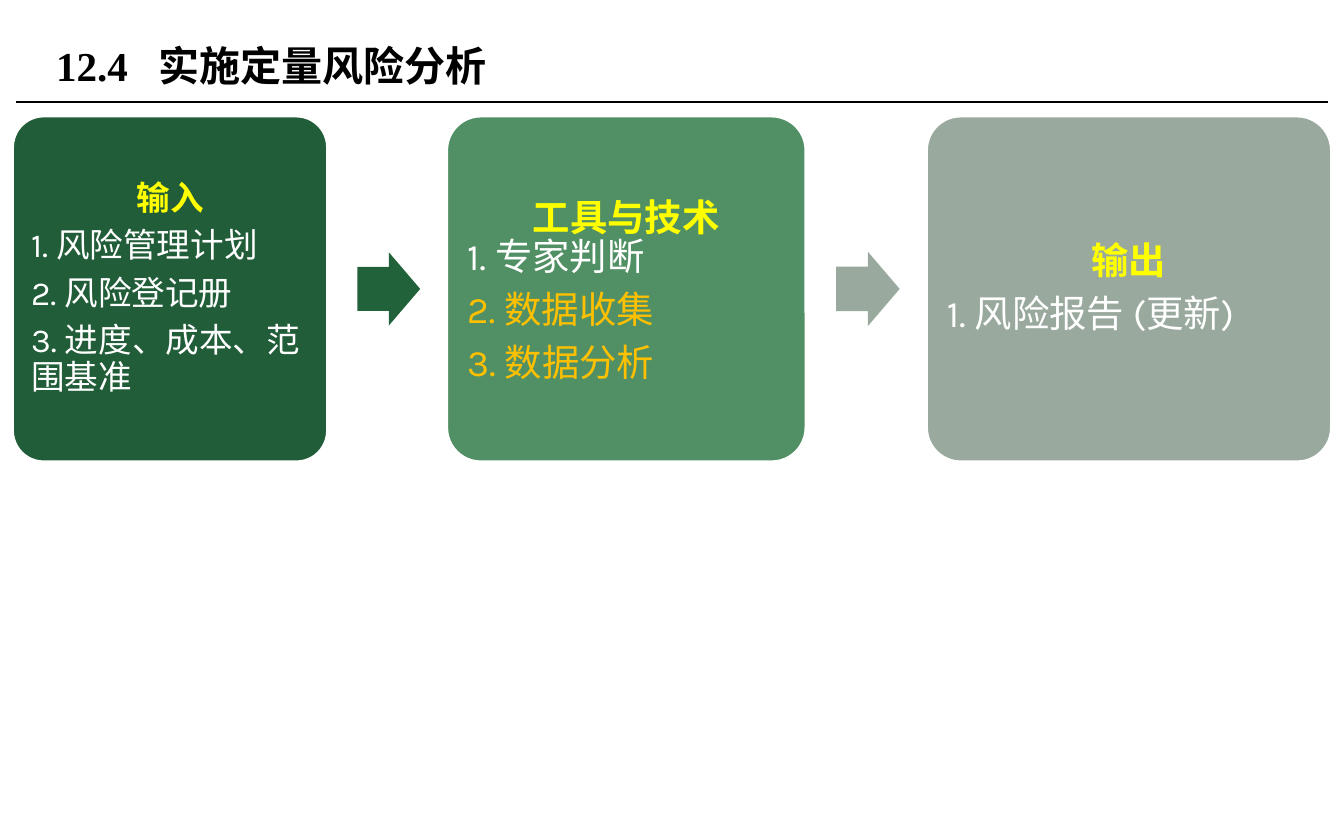
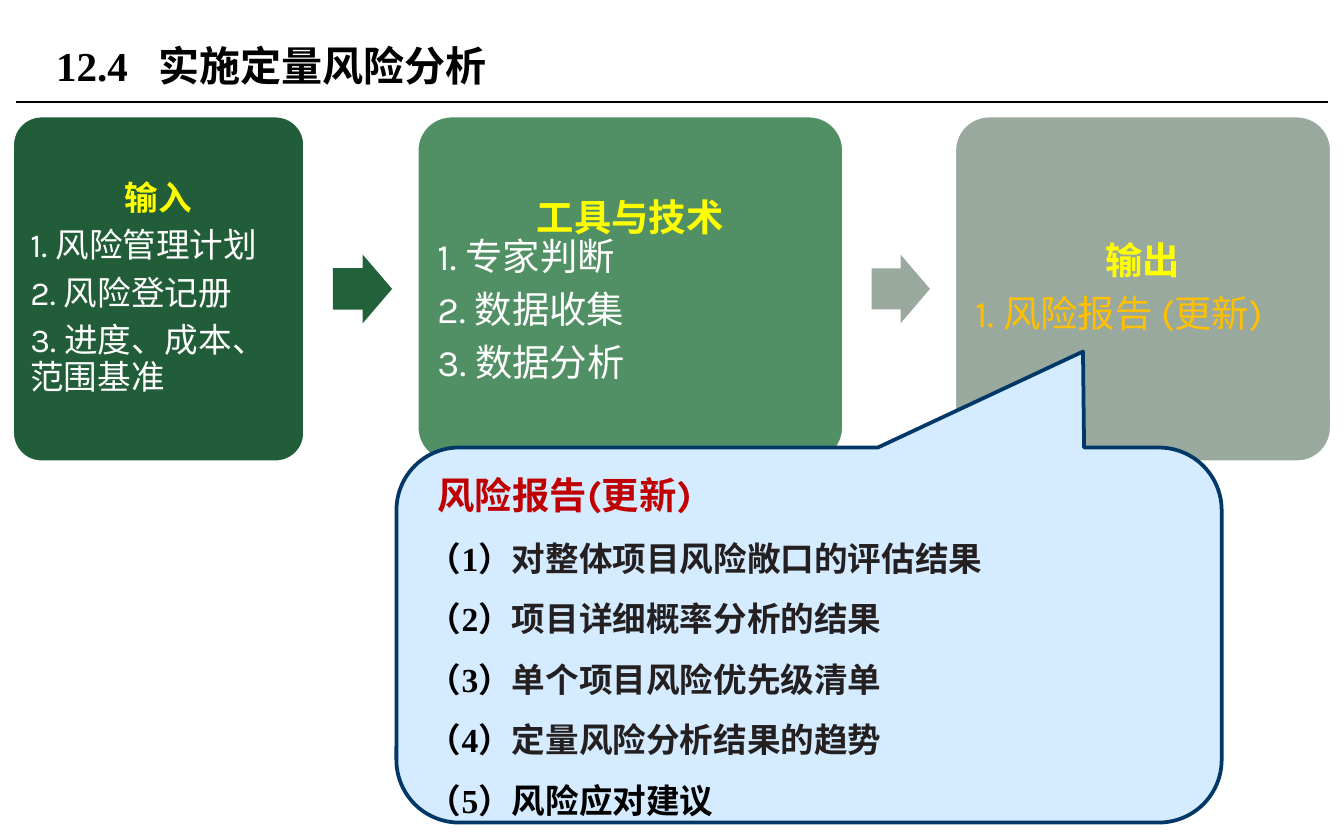
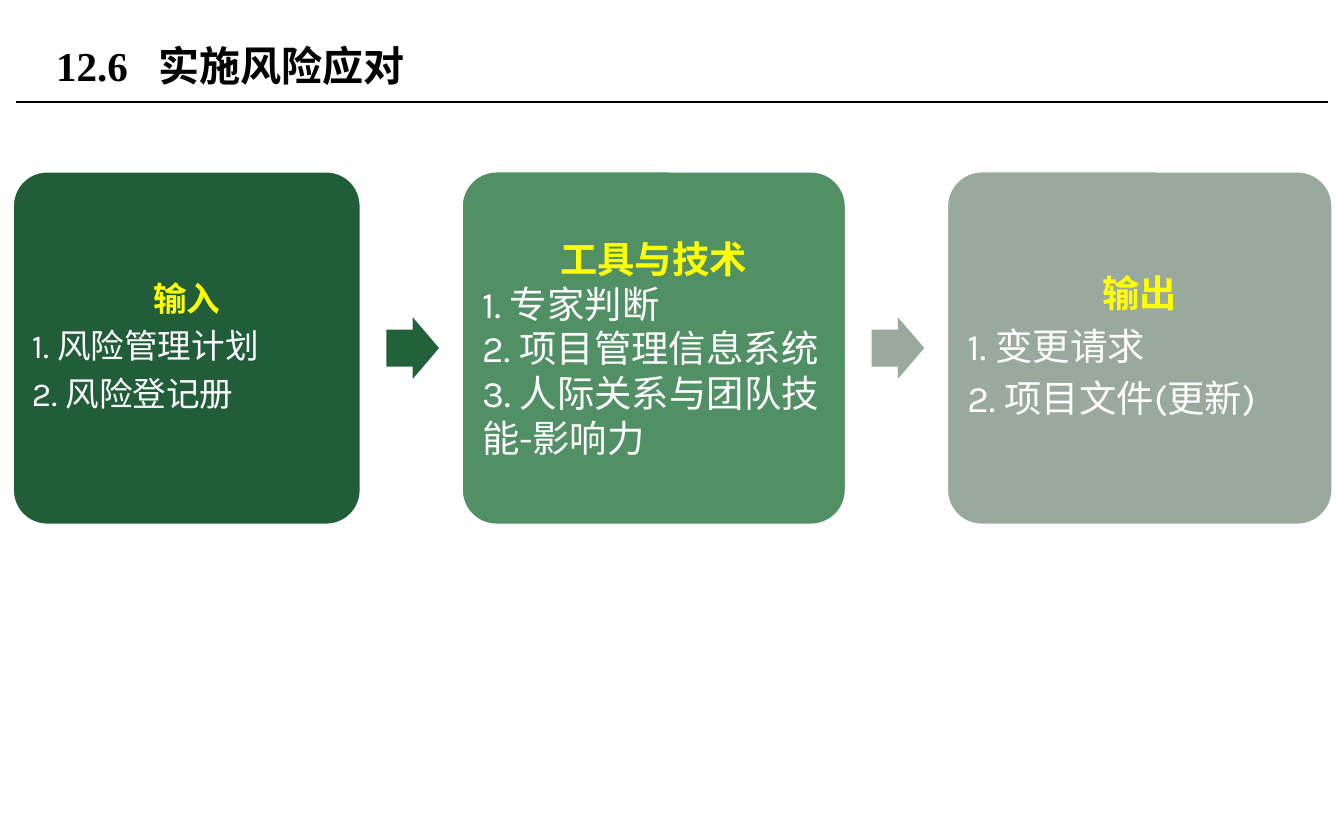
from lxml import etree
from pptx import Presentation
from pptx.dml.color import RGBColor
from pptx.enum.lang import MSO_LANGUAGE_ID
from pptx.enum.shapes import MSO_CONNECTOR, MSO_SHAPE
from pptx.enum.text import MSO_ANCHOR, PP_ALIGN
from pptx.oxml.ns import qn
from pptx.util import Inches, Pt

LINE = MSO_CONNECTOR.STRAIGHT
BOX, ARROW = MSO_SHAPE.ROUNDED_RECTANGLE, MSO_SHAPE.RIGHT_ARROW
CALLOUT = MSO_SHAPE.ROUNDED_RECTANGULAR_CALLOUT
LEFT, CENTER, MIDDLE = PP_ALIGN.LEFT, PP_ALIGN.CENTER, MSO_ANCHOR.MIDDLE
CHINESE = MSO_LANGUAGE_ID.SIMPLIFIED_CHINESE

BLACK, WHITE, YELLOW, ORANGE, RED = "000000", "FFFFFF", "FFFF00", "FFC000", "C00000"
INK, PALE_BLUE, NAVY = "242021", "D5EBFF", "013868"
BOX_FILLS = ["215D38", "519065", "9AA99E"]
ARROW_FILLS = ["22623B", "99A99D"]
SERIF, BODY, DETAIL = "Times New Roman", "Karla", "Lato"
HEADINGS = ["输入", "工具与技术", "输出"]
BOX_SIZES = [18, 20, 20]


def rgb(value):
    return RGBColor.from_string(value)


class Deck:
    """Holds the shared style and the current slide."""

    def __init__(self):
        self.prs = Presentation()
        self.prs.slide_width, self.prs.slide_height = Inches(10), Inches(6.25)

    def new_slide(self, number, title):
        self.s = self.prs.slides.add_slide(self.prs.slide_layouts[6])
        self.rule(0.12, 0.76, 9.88)
        self.title(number, title)

    def rule(self, left, y, right):
        line = self.s.shapes.add_connector(
            LINE, Inches(left), Inches(y), Inches(right), Inches(y))
        line.line.color.rgb, line.line.width = rgb(BLACK), Pt(0.75)
        etree.SubElement(line._element.spPr, qn("a:effectLst"))

    def title(self, number, title):
        sp = self.s.shapes.add_textbox(*map(Inches, (0.32, 0.13, 6.38, 0.71)))
        tf = sp.text_frame
        tf.word_wrap, tf.vertical_anchor = True, MIDDLE
        p = tf.paragraphs[0]
        # Tab stop between section number and name
        tabs = etree.SubElement(p._p.get_or_add_pPr(), qn("a:tabLst"))
        etree.SubElement(tabs, qn("a:tab"), pos=str(Inches(0.76)), algn="l")
        self.run(p, f"{number}\t{title}", 22, BLACK, SERIF, True)

    def run(self, p, text, size, color, font=BODY, bold=False):
        r = p.add_run()
        r.text = text
        style = {"size": Pt(size), "name": font, "bold": bold, "language_id": CHINESE}
        for name, value in style.items():
            setattr(r.font, name, value)
        r.font.color.rgb = rgb(color)

    def paragraph(self, tf, first=False, **style):
        p = tf.paragraphs[0] if first else tf.add_paragraph()
        for name, value in style.items():
            setattr(p, name, value)
        return p

    def shape(self, kind, at, fill, adjustments, line=None):
        sp = self.s.shapes.add_shape(kind, *map(Inches, at))
        sp.shadow.inherit = False
        sp.fill.solid()
        sp.fill.fore_color.rgb = rgb(fill)
        if line:
            sp.line.color.rgb, sp.line.width = rgb(line), Pt(2)
        else:
            sp.line.fill.background()
        for i, value in enumerate(adjustments):
            sp.adjustments[i] = value
        tf = sp.text_frame
        tf.word_wrap, tf.vertical_anchor = True, MIDDLE
        return tf

    def box(self, at, fill, size, heading, items, loose_heading, loose_items):
        tf = self.shape(BOX, at, fill, [0.1], WHITE)
        for side in ("left", "right", "top", "bottom"):
            setattr(tf, f"margin_{side}", Inches(size * 0.004))
        loose = {"line_spacing": 0.9, "space_after": Pt(size * 0.33)}
        p = self.paragraph(tf, True, alignment=CENTER, **(loose if loose_heading else {}))
        self.run(p, heading, size, YELLOW, bold=True)
        for i, (text, color) in enumerate(items, 1):
            p = self.paragraph(tf, alignment=LEFT, **(loose if loose_items else {}))
            self.run(p, f"{i}. {text}", size, color)

    def arrow(self, start, end, middle, fill):
        gap = end - start
        width, height = gap * 0.53, gap * 0.62
        at = (start + gap * 0.25, middle - height / 2, width, height)
        self.shape(ARROW, at, fill, [0.6, 0.5])

    def process(self, top, height, spans, lists, loose_tools=True):
        """Input, tools and output boxes, with an arrow in each gap."""
        for i, (left, width) in enumerate(spans):
            tools = i == 1
            self.box((left, top, width, height), BOX_FILLS[i], BOX_SIZES[i],
                     HEADINGS[i], lists[i], not tools, loose_tools or not tools)
        for fill, (left, width), (end, _) in zip(ARROW_FILLS, spans, spans[1:]):
            self.arrow(left + width, end, top + height / 2, fill)

    def callout(self, at, heading, points):
        tf = self.shape(CALLOUT, at, PALE_BLUE, [0.332, -0.756, 0.167], NAVY)
        style = {"alignment": LEFT, "line_spacing": 1.5}
        p = self.paragraph(tf, True, **style)
        p._p.get_or_add_pPr().set("marL", str(Inches(0.07)))
        self.run(p, heading, 20, RED, bold=True)
        for i, (text, color, font) in enumerate(points, 1):
            p = self.paragraph(tf, **style)
            self.run(p, f"（{i}）", 18, BLACK, SERIF, True)
            self.run(p, text, 18, color, font, True)


def colored(color, *texts):
    return [(text, color) for text in texts]


def main():
    deck = Deck()
    inputs = colored(WHITE, "风险管理计划", "风险登记册", "进度、成本、范围基准")
    expert = colored(WHITE, "专家判断")
    data = ["数据收集", "数据分析"]
    report = "风险报告 (更新)"

    # Quantitative analysis: tools highlighted
    deck.new_slide("12.4", "实施定量风险分析")
    deck.process(0.86, 2.58, [(0.09, 2.35), (3.32, 2.68), (6.89, 3.02)],
                 [inputs, expert + colored(ORANGE, *data), colored(WHITE, report)])

    # Quantitative analysis: output explained
    deck.new_slide("12.4", "实施定量风险分析")
    deck.process(0.86, 2.58, [(0.09, 2.18), (3.1, 3.18), (7.1, 2.81)],
                 [inputs, expert + colored(WHITE, *data), colored(ORANGE, report)])
    results = ["对整体项目风险敞口的评估结果", "项目详细概率分析的结果",
               "单个项目风险优先级清单", "定量风险分析结果的趋势"]
    deck.callout((2.95, 3.33, 6.14, 2.79), "风险报告(更新)",
                 [(text, INK, DETAIL) for text in results]
                 + [("风险应对建议", BLACK, SERIF)])

    # Risk responses
    deck.new_slide("12.6", "实施风险应对")
    tools = expert + colored(WHITE, "项目管理信息系统", "人际关系与团队技能-影响力")
    deck.process(1.27, 2.64, [(0.09, 2.6), (3.43, 2.87), (7.04, 2.88)],
                 [inputs[:2], tools, colored(WHITE, "变更请求", "项目文件(更新)")],
                 loose_tools=False)

    deck.prs.save("out.pptx")


if __name__ == "__main__":
    main()
